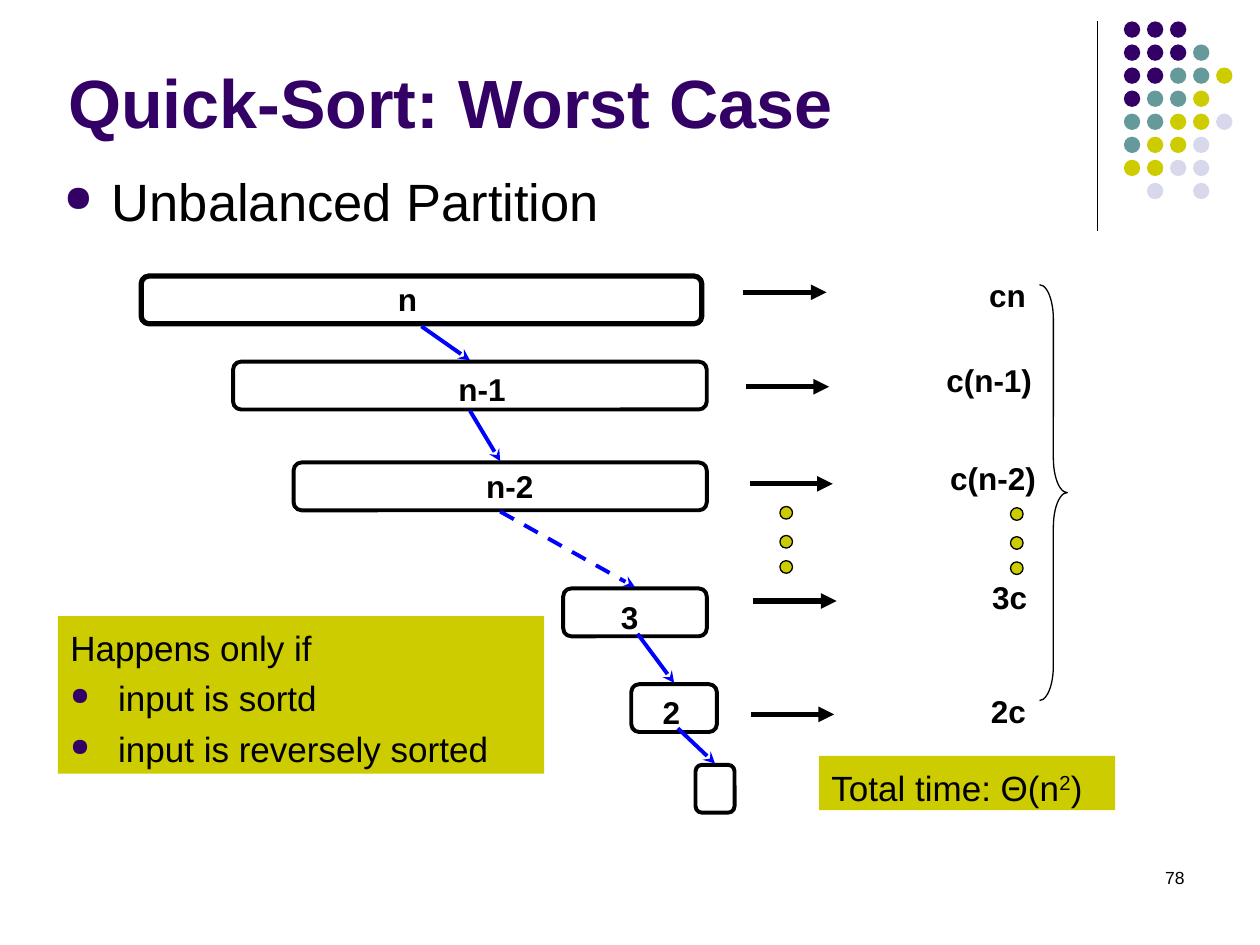
from lxml import etree
from pptx import Presentation
from pptx.dml.color import RGBColor
from pptx.enum.dml import MSO_LINE
from pptx.enum.shapes import MSO_CONNECTOR, MSO_SHAPE
from pptx.enum.text import MSO_ANCHOR, MSO_AUTO_SIZE, PP_ALIGN
from pptx.oxml.ns import qn
from pptx.util import Inches, Pt

LEFT, RIGHT = PP_ALIGN.LEFT, PP_ALIGN.RIGHT
TOP, BOTTOM = MSO_ANCHOR.TOP, MSO_ANCHOR.BOTTOM
OVAL, RECT = MSO_SHAPE.OVAL, MSO_SHAPE.RECTANGLE
ROUNDED, BRACE = MSO_SHAPE.ROUNDED_RECTANGLE, MSO_SHAPE.RIGHT_BRACE
STRAIGHT, DASH = MSO_CONNECTOR.STRAIGHT, MSO_LINE.DASH

BLACK = RGBColor(0x00, 0x00, 0x00)
BLUE = RGBColor(0x00, 0x00, 0xFF)
PURPLE = RGBColor(0x33, 0x00, 0x66)
TEAL = RGBColor(0x66, 0x99, 0x99)
OLIVE = RGBColor(0xCC, 0xCC, 0x00)
PALE = RGBColor(0xD8, 0xD8, 0xEC)

# Content
TITLE = "Quick-Sort: Worst Case"
SUBTITLE = "Unbalanced Partition"
CONDITIONS = ["Happens only if", "input is sortd", "input is reversely sorted"]
TOTAL = ["Total time: Θ(n", "2", ")"]
PAGE = "78"

# Partitions: label, left, top, width, border, label offset, start of the arrow
# to the next partition relative to the bottom centre
PARTITIONS = [
    ("n", 1.12, 2.19, 4.45, 3, (2.02, 0.01), (0, 0.02)),
    ("n-1", 1.85, 2.87, 3.76, 2.25, (1.77, 0.05), (0, 0.01)),
    ("n-2", 2.33, 3.67, 3.28, 2.25, (1.51, 0.02), (0, 0.01)),
    ("3", 4.47, 4.67, 1.14, 2.25, (0.44, 0.06), (0.02, -0.02)),
    ("2", 5.01, 5.43, 0.68, 2.25, (0.23, 0.05), (0.03, -0.03)),
    ("", 5.52, 6.07, 0.31, 2.25, (0, 0), (0, 0)),
]
PARTITION_HEIGHT = 0.38
SKIPPED_AFTER = "n-2"

# Costs: label, right edge, top of label, arrow start x, arrow y
COSTS = [
    ("cn", 8.24, 2.14, 5.9, 2.32),
    ("c(n-1)", 8.29, 2.82, 5.92, 3.07),
    ("c(n-2)", 8.32, 3.59, 5.95, 3.84),
    ("3c", 8.25, 4.54, 5.98, 4.77),
    ("2c", 8.24, 5.44, 5.96, 5.67),
]
ARROW_LENGTH = 0.66

ELLIPSES = [(6.19, 4.02), (8.02, 4.03)]
ELLIPSIS_STEPS = [0, 0.23, 0.43]

# Corner ornament, one letter per dot
DOT_COLORS = {"p": PURPLE, "t": TEAL, "o": OLIVE, "l": PALE}
DOT_ROWS = ["ppp", "pppt", "pptto", "ptto", "ttool", "tool", "ooll", " l l"]
DOT_LEFT, DOT_TOP, DOT_PITCH, DOT_SIZE = 8.92, 0.17, 0.183, 0.13

prs = Presentation()
prs.slide_width, prs.slide_height = Inches(10), Inches(7.5)
slide = prs.slides.add_slide(prs.slide_layouts[5])


def add_bullet(paragraph):
    props = paragraph._p.get_or_add_pPr()
    props.set("marL", str(Inches(0.38)))
    props.set("indent", str(-Inches(0.38)))
    color = etree.SubElement(props, qn("a:buClr"))
    etree.SubElement(color, qn("a:srgbClr"), val=str(PURPLE))
    etree.SubElement(props, qn("a:buSzPct"), val="70000")
    etree.SubElement(props, qn("a:buChar"), char="●")


def write(shape, paragraphs, size=18, color=BLACK, bold=False, align=LEFT,
          anchor=TOP, insets=(0.1, 0.05), bullets_from=None, space=0):
    """Each paragraph is a string or a list of runs, the second one raised."""
    frame = shape.text_frame
    frame.word_wrap = True
    frame.auto_size = MSO_AUTO_SIZE.NONE
    frame.vertical_anchor = anchor
    frame.margin_left, frame.margin_top = Inches(insets[0]), Inches(insets[1])
    frame.margin_right = Inches(min(insets[0], 0.1))
    frame.margin_bottom = Inches(min(insets[1], 0.05))
    for i, content in enumerate(paragraphs):
        paragraph = frame.paragraphs[0] if i == 0 else frame.add_paragraph()
        if bullets_from is not None and i >= bullets_from:
            add_bullet(paragraph)
        paragraph.alignment = align
        paragraph.space_before = Pt(space if i else 0)
        for j, part in enumerate([content] if isinstance(content, str) else content):
            run = paragraph.add_run()
            run.text = part
            run.font.name, run.font.size = "Arial", Pt(size)
            run.font.bold, run.font.color.rgb = bold, color
            if j == 1:
                run.font._element.set("baseline", "30000")


def add_text(left, top, width, height, paragraphs, **style):
    box = slide.shapes.add_textbox(*map(Inches, (left, top, width, height)))
    write(box, paragraphs, **style)


def add_shape(kind, left, top, width, height, fill=None, border=None, adjust=None):
    shape = slide.shapes.add_shape(kind, *map(Inches, (left, top, width, height)))
    shape.shadow.inherit = False
    if fill is None:
        shape.fill.background()
    else:
        shape.fill.solid()
        shape.fill.fore_color.rgb = fill
    if border is None:
        shape.line.fill.background()
    else:
        shape.line.color.rgb, shape.line.width = BLACK, Pt(border)
    if adjust is not None:
        shape.adjustments[0] = adjust
    return shape


def add_line(start, end, color=BLACK, width=3, tip=None, dash=None):
    line = slide.shapes.add_connector(STRAIGHT, *map(Inches, (*start, *end)))
    line.line.color.rgb, line.line.width = color, Pt(width)
    if dash:
        line.line.dash_style = dash
    if tip:
        etree.SubElement(line.line._get_or_add_ln(), qn("a:tailEnd"), type=tip)
    etree.SubElement(line._element.spPr, qn("a:effectLst"))


# Corner ornament and page number
add_line((8.71, 0.17), (8.71, 1.83), width=0.75)
for row, letters in enumerate(DOT_ROWS):
    for column, letter in enumerate(letters):
        if letter in DOT_COLORS:
            add_shape(OVAL, DOT_LEFT + column * DOT_PITCH, DOT_TOP + row * DOT_PITCH,
                      DOT_SIZE, DOT_SIZE, fill=DOT_COLORS[letter])
add_text(7.17, 6.83, 2.33, 0.5, [PAGE], size=10, align=RIGHT)

# Title and subtitle
title = slide.shapes.title
title.left, title.top, title.width, title.height = map(Inches, (0.44, 0.35, 8.25, 0.83))
write(title, [TITLE], size=39, color=PURPLE, bold=True, anchor=BOTTOM)
add_text(0.41, 1.25, 9, 0.7, [SUBTITLE], size=30, insets=(0.1, 0.09), bullets_from=0)

# Partitions
for label, left, top, width, border, offset, _ in PARTITIONS:
    partition = add_shape(ROUNDED, left, top, width, PARTITION_HEIGHT,
                          border=border, adjust=0.167)
    if label:
        write(partition, [label], bold=True, insets=offset)

# Arrows from each partition to the next
for current, following in zip(PARTITIONS, PARTITIONS[1:]):
    label, left, top, width, _, _, (dx, dy) = current
    start = (left + width / 2 + dx, top + PARTITION_HEIGHT + dy)
    end = (following[1] + following[3] / 2, following[2] - 0.01)
    add_line(start, end, color=BLUE, width=2.25, tip="stealth",
             dash=DASH if label == SKIPPED_AFTER else None)

# Cost of each level
for label, right, top, arrow_x, arrow_y in COSTS:
    add_line((arrow_x, arrow_y), (arrow_x + ARROW_LENGTH, arrow_y), tip="triangle")
    add_text(right - 1.4, top, 1.4, 0.4, [label], bold=True, align=RIGHT)
for left, top in ELLIPSES:
    for step in ELLIPSIS_STEPS:
        add_shape(OVAL, left, top + step, 0.1, 0.1, fill=OLIVE, border=0.75)
add_shape(BRACE, 8.25, 2.26, 0.22, 3.3, border=0.75, adjust=1.25)

# Conditions and total
conditions = add_shape(RECT, 0.46, 4.89, 3.86, 1.25, fill=OLIVE)
write(conditions, CONDITIONS, size=20, insets=(0.1, 0.08), bullets_from=1, space=5)
total = add_shape(RECT, 6.5, 6, 2.35, 0.43, fill=OLIVE)
write(total, [TOTAL], size=20, insets=(0.1, 0.08))

prs.save("out.pptx")
